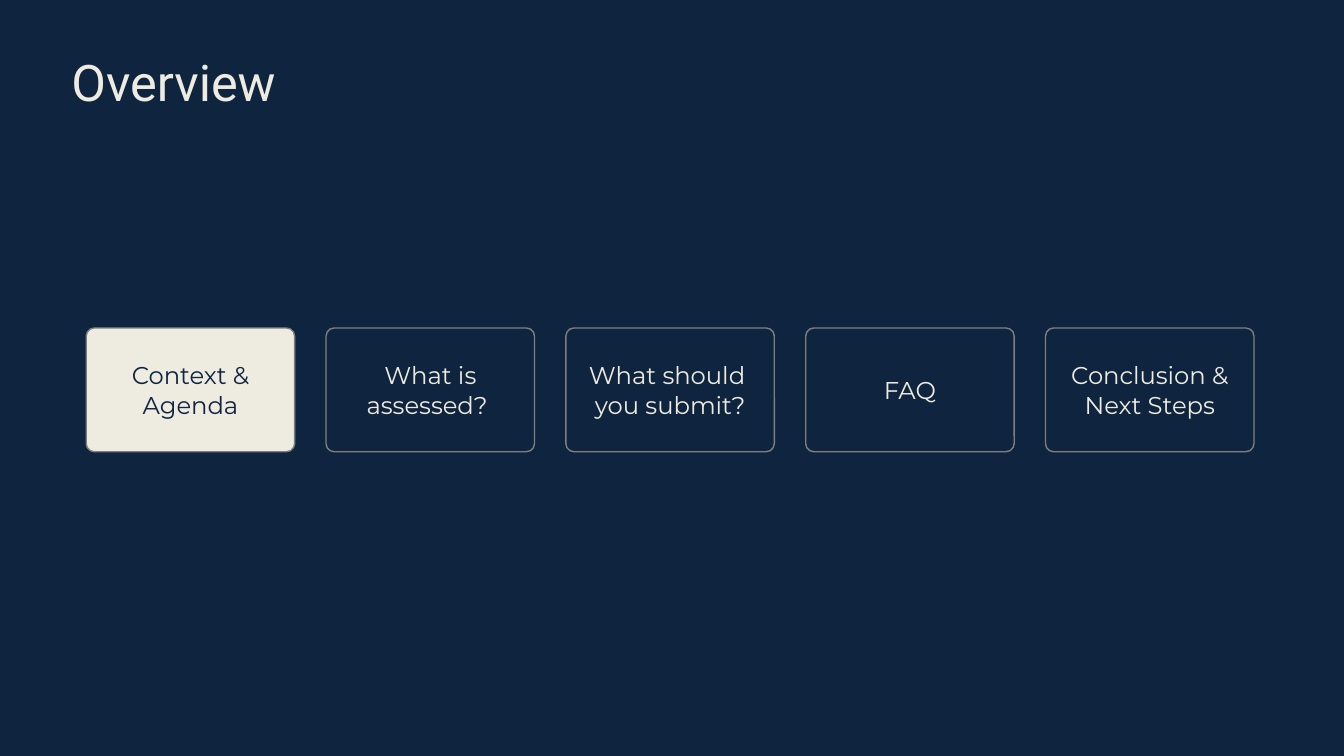
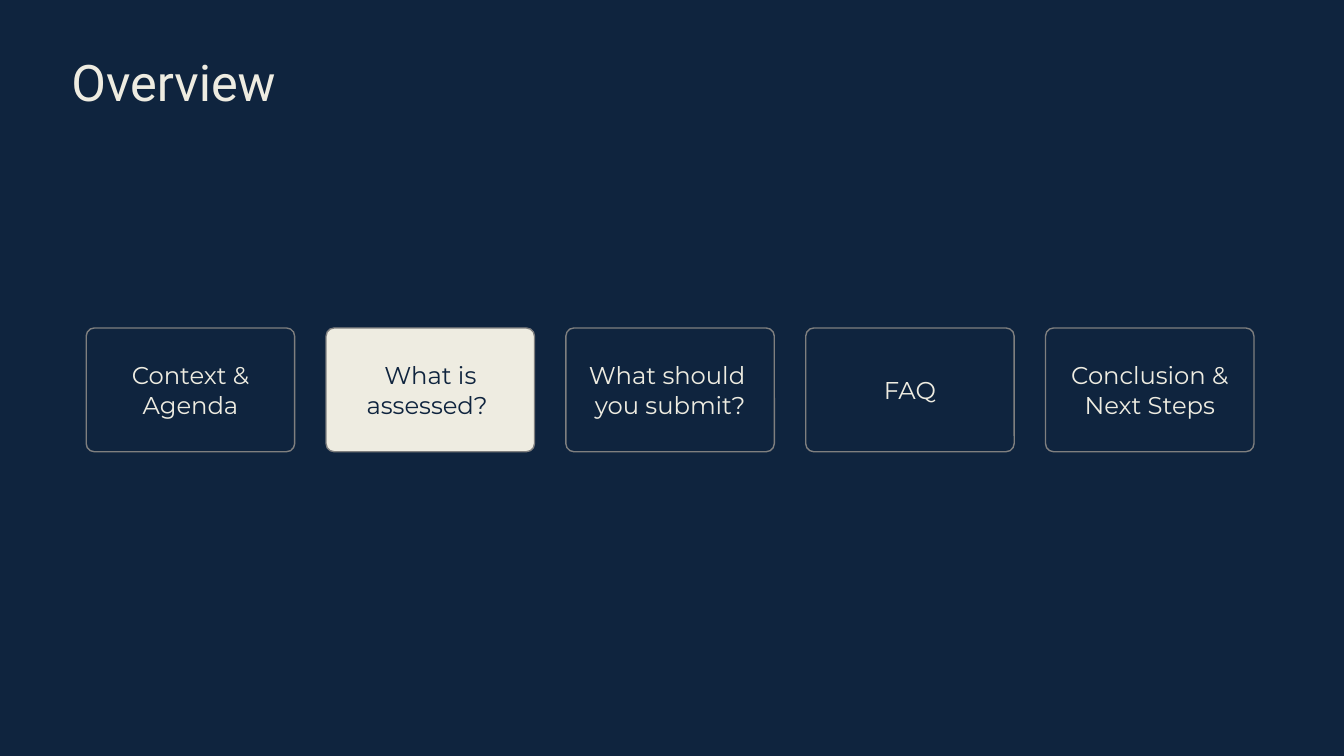
from pptx import Presentation
from pptx.dml.color import RGBColor
from pptx.enum.shapes import MSO_SHAPE as Preset
from pptx.enum.text import MSO_ANCHOR as Anchor, MSO_AUTO_SIZE as AutoSize, PP_ALIGN as Align
from pptx.util import Cm, Pt

NAVY, CREAM, GREY = "0F243E", "EEECE1", "7F7F7F"

# Regions as left, top, width, height in cm
TITLE_BOX = (1.22, 0.76, 22.94, 1.55)
AGENDA_BOX = (1.63, 6.2, 22.07, 2.34)
CARD_WIDTH = 3.94

SECTIONS = [
    ["Context & Agenda"],
    ["What is assessed? "],
    ["What should ", "you submit?"],
    ["FAQ"],
    ["Conclusion & Next Steps"],
]


def color(value):
    return RGBColor.from_string(value)


def write(shape, lines, *, font, size, ink, align=Align.LEFT, inset=0.0):
    """Fill a shape with one paragraph per line, centred vertically."""
    frame = shape.text_frame
    frame.word_wrap = True
    frame.vertical_anchor = Anchor.MIDDLE
    frame.margin_left = frame.margin_right = Cm(inset)
    frame.margin_top = frame.margin_bottom = Cm(inset)
    for index, line in enumerate(lines):
        para = frame.add_paragraph() if index else frame.paragraphs[0]
        para.alignment = align
        span = para.add_run()
        span.text = line
        span.font.name = font
        span.font.size = Pt(size)
        span.font.color.rgb = color(ink)


def add_title(page, box, text):
    title = page.shapes.add_textbox(*map(Cm, box))
    write(title, [text], font="Roboto", size=27, ink=CREAM, inset=0.13)
    title.text_frame.auto_size = AutoSize.SHAPE_TO_FIT_TEXT


def add_card(page, box, lines, active):
    card = page.shapes.add_shape(Preset.ROUNDED_RECTANGLE, *map(Cm, box))
    card.adjustments[0] = 0.066
    card.shadow.inherit = False
    card.fill.solid()
    card.fill.fore_color.rgb = color(CREAM if active else NAVY)
    card.line.color.rgb = color(GREY)
    card.line.width = Pt(0.75)
    write(card, lines, font="Montserrat", size=13,
          ink=NAVY if active else CREAM, align=Align.CENTER)


def add_agenda(page, box, current):
    """Spread the section cards evenly across the box."""
    left, top, width, height = box
    pitch = (width - CARD_WIDTH) / (len(SECTIONS) - 1)
    for index, lines in enumerate(SECTIONS):
        card_box = (left + index * pitch, top, CARD_WIDTH, height)
        add_card(page, card_box, lines, active=index == current)


def add_overview(deck, current):
    page = deck.slides.add_slide(deck.slide_layouts[6])
    page.background.fill.solid()
    page.background.fill.fore_color.rgb = color(NAVY)
    add_title(page, TITLE_BOX, "Overview")
    add_agenda(page, AGENDA_BOX, current)


def main():
    deck = Presentation()
    deck.slide_width, deck.slide_height = Cm(25.4), Cm(14.29)
    # One overview per highlighted section
    for current in range(2):
        add_overview(deck, current)
    deck.save("out.pptx")


if __name__ == "__main__":
    main()
